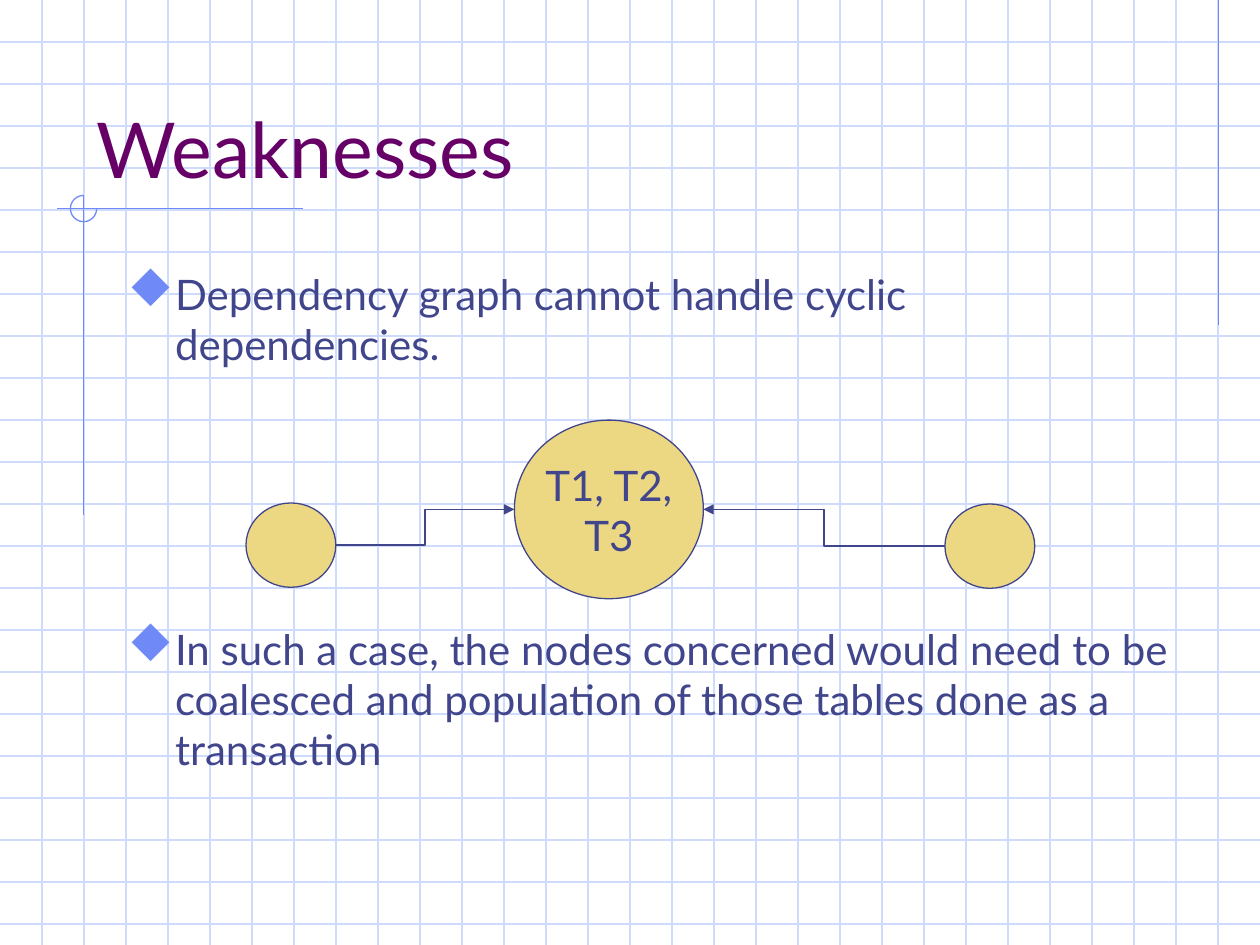
from dataclasses import dataclass

from lxml.etree import SubElement
from pptx import Presentation
from pptx.dml.color import RGBColor
from pptx.enum.shapes import MSO_CONNECTOR as Route, MSO_SHAPE as Preset
from pptx.enum.text import MSO_ANCHOR as Anchor, PP_ALIGN as Align
from pptx.oxml.ns import qn
from pptx.util import Cm, Pt


@dataclass(frozen=True)
class Theme:
    font: str = "Lato"
    bullet_font: str = "Wingdings"
    bullet_char: str = "u"  # a solid diamond in the symbol font
    title_size: int = 44
    text_size: int = 24
    line_width: float = 0.75
    grid: str = "CFDBFD"
    accent: str = "6F89F7"
    title: str = "660066"
    ink: str = "40458C"
    node: str = "ECD882"


@dataclass(frozen=True)
class Node:
    left: float
    top: float
    width: float
    height: float
    lines: tuple[str, ...] = ()

    @property
    def right(self) -> float:
        return self.left + self.width

    @property
    def middle(self) -> float:
        return self.top + self.height / 2


@dataclass(frozen=True)
class Bullet:
    text: str
    space_before: float


THEME = Theme()
WIDTH, HEIGHT = 25.4, 19.05
GRID_STEP = WIDTH / 30

FRAME_LINES = [
    (24.56, 0, 24.56, 6.56),
    (6.1, 4.21, 1.14, 4.21),
    (1.69, 3.93, 1.69, 10.39),
]
LEFT_NODE = Node(4.96, 10.14, 1.81, 1.7)
MERGED_NODE = Node(10.37, 8.47, 3.81, 3.6, ("T1, T2,", "T3"))
RIGHT_NODE = Node(19.05, 10.16, 1.81, 1.7)

# The second bullet is pushed down to leave room for the diagram.
BULLETS = [
    Bullet("Dependency graph cannot handle cyclic dependencies.", 0),
    Bullet("In such a case, the nodes concerned would need to be coalesced "
           "and population of those tables done as a transaction", 145),
]


def color(value: str) -> RGBColor:
    return RGBColor.from_string(value)


def style_font(para, size: int, value: str) -> None:
    para.font.name = THEME.font
    para.font.size = Pt(size)
    para.font.color.rgb = color(value)


def style_line(line, value: str) -> None:
    line.color.rgb = color(value)
    line.width = Pt(THEME.line_width)


def add_line(page, x1: float, y1: float, x2: float, y2: float,
             value: str, route=Route.STRAIGHT):
    line = page.shapes.add_connector(route, Cm(x1), Cm(y1), Cm(x2), Cm(y2))
    style_line(line.line, value)
    SubElement(line._element.spPr, qn("a:effectLst"))
    return line


def add_arrow(page, x1: float, y1: float, x2: float, y2: float) -> None:
    arrow = add_line(page, x1, y1, x2, y2, THEME.ink, Route.ELBOW)
    SubElement(arrow.line._get_or_add_ln(), qn("a:tailEnd"), type="triangle")


def add_grid(page) -> None:
    for row in range(1, int(HEIGHT / GRID_STEP) + 1):
        add_line(page, 0, row * GRID_STEP, WIDTH, row * GRID_STEP, THEME.grid)
    for column in range(1, round(WIDTH / GRID_STEP)):
        add_line(page, column * GRID_STEP, 0, column * GRID_STEP, HEIGHT, THEME.grid)


def add_corner_arc(page) -> None:
    """Three quarters of a circle, open at the upper right."""
    arc = page.shapes.add_shape(Preset.ARC, Cm(1.42), Cm(3.94), Cm(0.53), Cm(0.53))
    arc.adjustments[0] = 0
    arc.adjustments[1] = 162  # 270 degrees
    arc.shadow.inherit = False
    arc.fill.background()
    style_line(arc.line, THEME.accent)


def add_node(page, node: Node) -> None:
    oval = page.shapes.add_shape(Preset.OVAL, Cm(node.left), Cm(node.top),
                                 Cm(node.width), Cm(node.height))
    oval.shadow.inherit = False
    oval.fill.solid()
    oval.fill.fore_color.rgb = color(THEME.node)
    style_line(oval.line, THEME.ink)
    if not node.lines:
        return
    frame = oval.text_frame
    frame.word_wrap = False
    frame.vertical_anchor = Anchor.MIDDLE
    frame.text = "\n".join(node.lines)
    for para in frame.paragraphs:
        para.alignment = Align.CENTER
        style_font(para, THEME.text_size, THEME.ink)


def add_text_box(page, left: float, top: float, width: float, height: float):
    box = page.shapes.add_textbox(Cm(left), Cm(top), Cm(width), Cm(height))
    box.text_frame.word_wrap = True
    return box.text_frame


def add_title(page, text: str) -> None:
    frame = add_text_box(page, 1.69, 0.85, 21.59, 3.18)
    frame.vertical_anchor = Anchor.BOTTOM
    frame.text = text
    style_font(frame.paragraphs[0], THEME.title_size, THEME.title)


def add_diamond(para) -> None:
    props = para._p.get_or_add_pPr()
    props.set("marL", str(Cm(0.95)))
    props.set("indent", str(-Cm(0.95)))
    bullet_color = SubElement(props, qn("a:buClr"))
    SubElement(bullet_color, qn("a:srgbClr"), val=THEME.accent)
    SubElement(props, qn("a:buSzPct"), val="110000")
    SubElement(props, qn("a:buFont"), typeface=THEME.bullet_font,
               pitchFamily="2", charset="2")
    SubElement(props, qn("a:buChar"), char=THEME.bullet_char)


def add_bullets(page, bullets: list[Bullet]) -> None:
    frame = add_text_box(page, 2.33, 5.29, 21.59, 11.43)
    frame.text = "\n".join(bullet.text for bullet in bullets)
    for para, bullet in zip(frame.paragraphs, bullets):
        add_diamond(para)
        para.space_before = Pt(bullet.space_before)
        style_font(para, THEME.text_size, THEME.ink)


def main() -> None:
    deck = Presentation()
    deck.slide_width, deck.slide_height = Cm(WIDTH), Cm(HEIGHT)
    page = deck.slides.add_slide(deck.slide_layouts[6])

    add_grid(page)
    for ends in FRAME_LINES:
        add_line(page, *ends, THEME.accent)
    add_corner_arc(page)
    add_title(page, "Weaknesses")
    add_bullets(page, BULLETS)

    add_arrow(page, LEFT_NODE.right, LEFT_NODE.middle,
              MERGED_NODE.left, MERGED_NODE.middle)
    add_arrow(page, RIGHT_NODE.left, RIGHT_NODE.middle,
              MERGED_NODE.right, MERGED_NODE.middle)
    for node in (RIGHT_NODE, MERGED_NODE, LEFT_NODE):
        add_node(page, node)
    deck.save("out.pptx")


if __name__ == "__main__":
    main()
